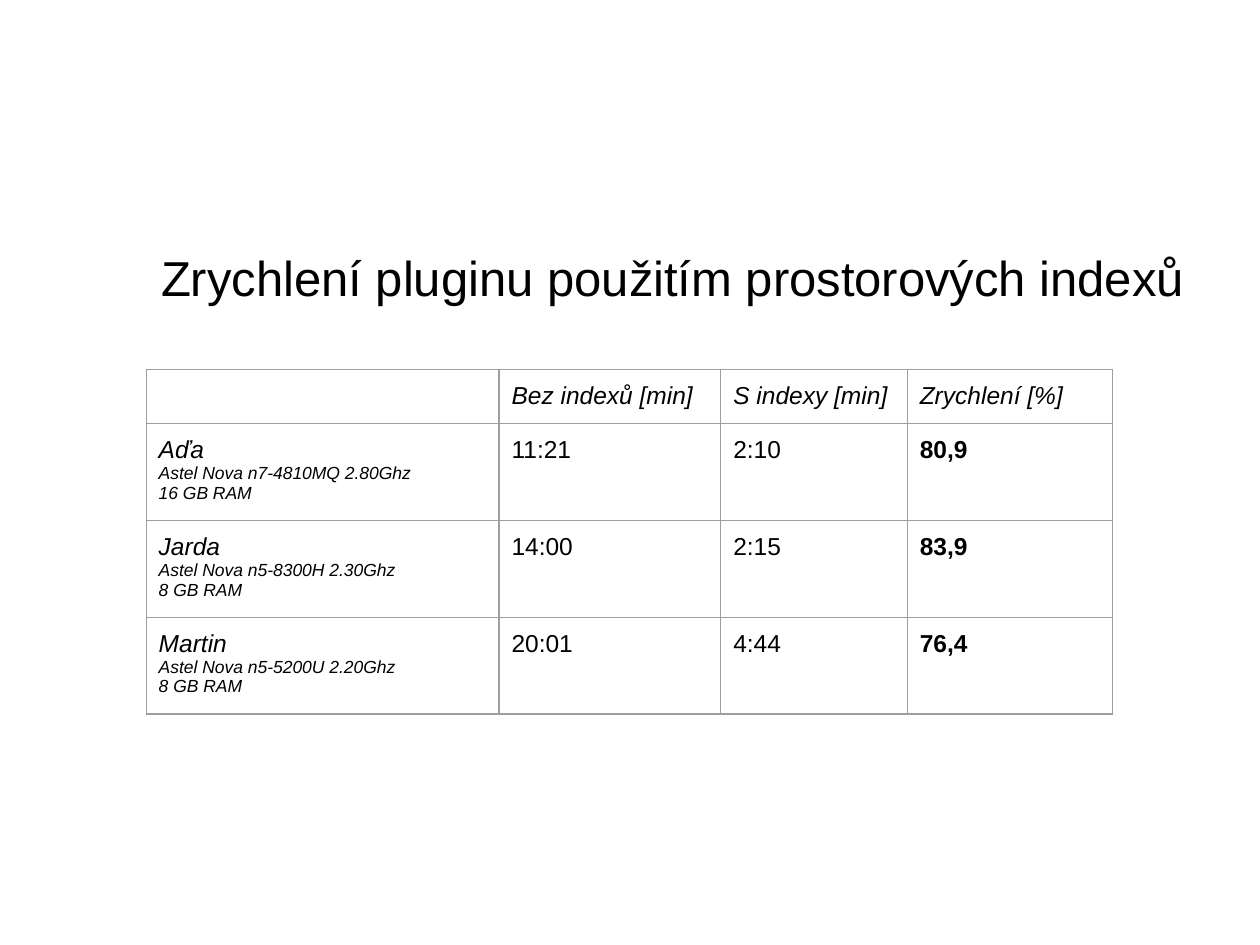
from dataclasses import dataclass

from lxml import etree
from pptx import Presentation
from pptx.dml.color import RGBColor
from pptx.enum import text
from pptx.oxml import ns
from pptx.util import Inches, Pt

COLORS = {"text": "000000", "border": "9E9E9E"}
FONT = "Arial"
HEADERS = ["", "Bez indexů [min]", "S indexy [min]", "Zrychlení [%]"]
COLUMN_WIDTHS = [2.8, 1.76, 1.48, 1.63]
HEADER_HEIGHT, ROW_HEIGHT = 0.42, 0.73


@dataclass
class Measurement:
    tester: str
    cpu: str
    ram: str
    without_index: str
    with_index: str
    speedup: str


MEASUREMENTS = [
    Measurement("Aďa", "Astel Nova n7-4810MQ 2.80Ghz", "16 GB RAM", "11:21", "2:10", "80,9"),
    Measurement("Jarda", "Astel Nova n5-8300H 2.30Ghz", "8 GB RAM", "14:00", "2:15", "83,9"),
    Measurement("Martin", "Astel Nova n5-5200U 2.20Ghz", "8 GB RAM", "20:01", "4:44", "76,4"),
]


def write_paragraph(p, content: str, size: float, bold: bool = False, italic: bool = False) -> None:
    p.text = content
    p.font.name = FONT
    p.font.size = Pt(size)
    p.font.bold = bold
    p.font.italic = italic
    p.font.color.rgb = RGBColor.from_string(COLORS["text"])


def add_borders(cell) -> None:
    tc_pr = cell._tc.get_or_add_tcPr()
    for index, side in enumerate(("lnL", "lnR", "lnT", "lnB")):
        ln = etree.Element(ns.qn(f"a:{side}"), w=str(Pt(0.75)))
        fill = etree.SubElement(ln, ns.qn("a:solidFill"))
        etree.SubElement(fill, ns.qn("a:srgbClr"), val=COLORS["border"])
        tc_pr.insert(index, ln)


def fill_cell(cell, lines: list[str], bold: bool = False, italic: bool = False) -> None:
    cell.fill.background()
    add_borders(cell)
    if not any(lines):
        return
    cell.margin_left = cell.margin_right = Inches(0.1)
    cell.margin_top = cell.margin_bottom = Inches(0.1)
    tf = cell.text_frame
    for index, line in enumerate(lines):
        p = tf.add_paragraph() if index else tf.paragraphs[0]
        write_paragraph(p, line, 10 if index else 14, bold, italic)


def add_title(s, content: str) -> None:
    sp = s.shapes.add_textbox(Inches(1.18), Inches(1.97), Inches(8.52), Inches(0.8))
    tf = sp.text_frame
    tf.word_wrap = True
    tf.vertical_anchor = text.MSO_ANCHOR.TOP
    p = tf.paragraphs[0]
    write_paragraph(p, content, 28)
    p.line_spacing = 0.9


def add_results(s, measurements: list[Measurement]) -> None:
    heights = [HEADER_HEIGHT] + [ROW_HEIGHT] * len(measurements)
    table = s.shapes.add_table(
        len(heights), len(HEADERS), Inches(1.16), Inches(2.93),
        Inches(sum(COLUMN_WIDTHS)), Inches(sum(heights)),
    ).table
    table.first_row = table.horz_banding = False
    for column, width in zip(table.columns, COLUMN_WIDTHS):
        column.width = Inches(width)
    for row, height in zip(table.rows, heights):
        row.height = Inches(height)
    for col, header in enumerate(HEADERS):
        fill_cell(table.cell(0, col), [header], italic=True)
    for row, m in enumerate(measurements, start=1):
        fill_cell(table.cell(row, 0), [m.tester, m.cpu, m.ram], italic=True)
        fill_cell(table.cell(row, 1), [m.without_index])
        fill_cell(table.cell(row, 2), [m.with_index])
        fill_cell(table.cell(row, 3), [m.speedup], bold=True)


def main() -> None:
    prs = Presentation()
    prs.slide_width, prs.slide_height = Inches(10), Inches(7.5)
    s = prs.slides.add_slide(prs.slide_layouts[6])
    add_title(s, "Zrychlení pluginu použitím prostorových indexů")
    add_results(s, MEASUREMENTS)
    prs.save("out.pptx")


if __name__ == "__main__":
    main()
